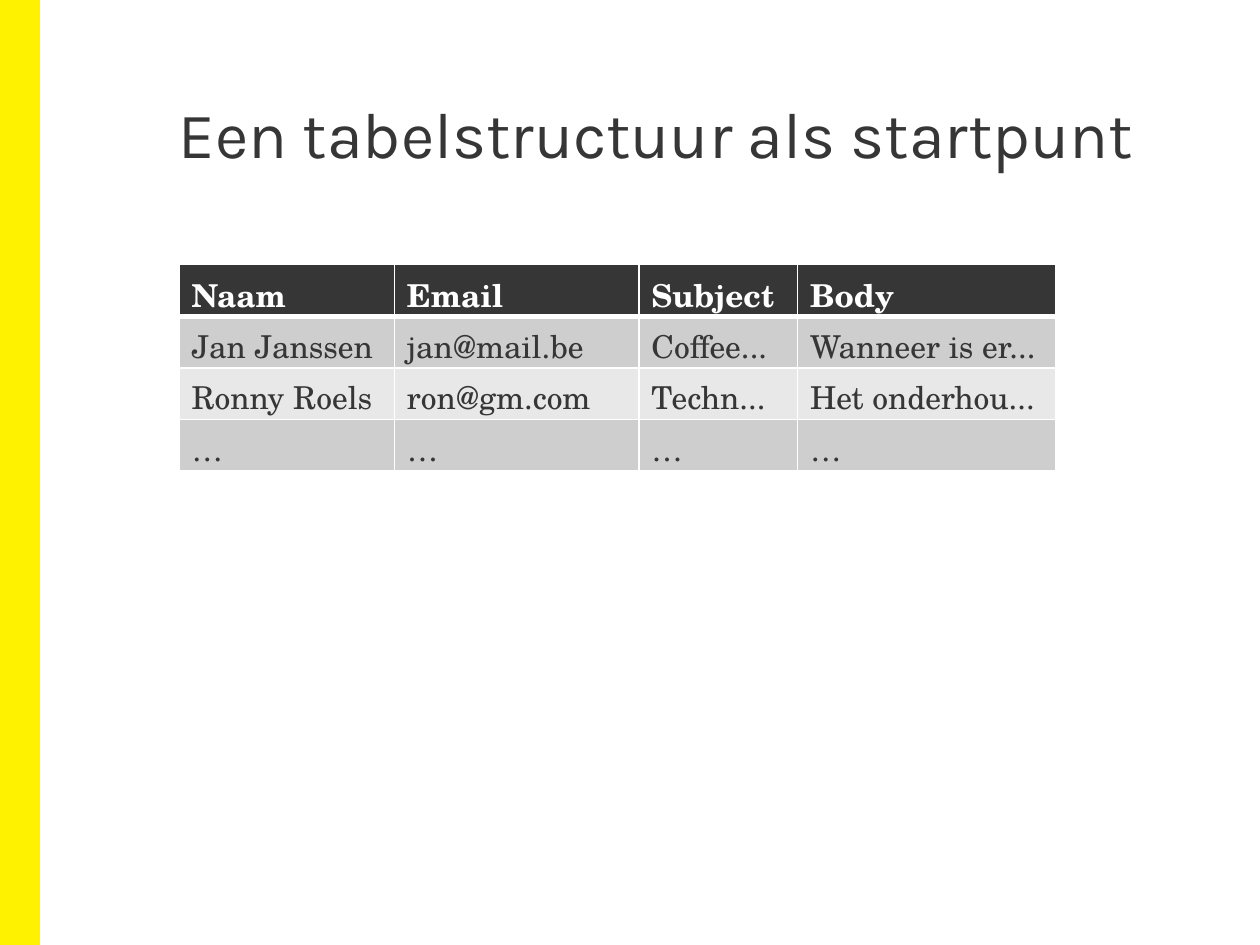
from dataclasses import dataclass

from lxml.etree import SubElement
from pptx import Presentation
from pptx.dml.color import RGBColor
from pptx.enum.shapes import MSO_SHAPE
from pptx.oxml.ns import qn
from pptx.util import Inches, Pt


@dataclass(frozen=True)
class Theme:
    accent: str = "FFF200"
    dark: str = "373636"
    light: str = "FFFFFF"
    bands: tuple = ("CECECE", "E8E8E8")
    title_font: str = "Karla"
    table_font: str = "TeX Gyre Schola"
    title_size: int = 37
    title_leading: int = 38
    table_size: int = 18
    thin: int = 1
    thick: int = 3


class SlideBuilder:
    def __init__(self, page, theme):
        self.page = page
        self.theme = theme

    def set_font(self, para, name, size, color, bold=False):
        para.font.name = name
        para.font.size = Pt(size)
        para.font.bold = bold
        para.font.color.rgb = RGBColor.from_string(color)

    def side_bar(self, width, height):
        bar = self.page.shapes.add_shape(
            MSO_SHAPE.RECTANGLE, 0, 0, Inches(width), Inches(height)
        )
        bar.shadow.inherit = False
        color = RGBColor.from_string(self.theme.accent)
        bar.fill.solid()
        bar.fill.fore_color.rgb = color
        bar.line.color.rgb = color
        bar.line.width = Pt(self.theme.thin)

    def title(self, text, left, top, width, height):
        box = self.page.shapes.add_textbox(
            Inches(left), Inches(top), Inches(width), Inches(height)
        )
        frame = box.text_frame
        frame.word_wrap = True
        frame.margin_left = frame.margin_right = 0
        frame.margin_top = frame.margin_bottom = 0
        para = frame.paragraphs[0]
        para.text = text
        para.line_spacing = Pt(self.theme.title_leading)
        self.set_font(
            para, self.theme.title_font, self.theme.title_size, self.theme.dark
        )

    def cell_borders(self, cell, top, bottom):
        properties = cell._tc.get_or_add_tcPr()
        thin = self.theme.thin
        for side, width in (("L", thin), ("R", thin), ("T", top), ("B", bottom)):
            line = SubElement(properties, qn(f"a:ln{side}"), w=str(Pt(width)))
            fill = SubElement(line, qn("a:solidFill"))
            SubElement(fill, qn("a:srgbClr"), val=self.theme.light)

    def table(self, rows, left, top, column_widths, row_height):
        theme = self.theme
        table = self.page.shapes.add_table(
            len(rows),
            len(column_widths),
            Inches(left),
            Inches(top),
            Inches(sum(column_widths)),
            Inches(row_height * len(rows)),
        ).table
        for column, width in zip(table.columns, column_widths):
            column.width = Inches(width)
        for index, texts in enumerate(rows):
            table.rows[index].height = Inches(row_height)
            header = index == 0
            band = theme.dark if header else theme.bands[(index - 1) % 2]
            color = theme.light if header else theme.dark
            above = theme.thick if index == 1 else theme.thin
            below = theme.thick if header else theme.thin
            for cell, text in zip(table.rows[index].cells, texts):
                self.cell_borders(cell, above, below)
                cell.fill.solid()
                cell.fill.fore_color.rgb = RGBColor.from_string(band)
                cell.text = text
                para = cell.text_frame.paragraphs[0]
                self.set_font(para, theme.table_font, theme.table_size, color, header)


def main():
    deck = Presentation()
    deck.slide_width = Inches(10)
    deck.slide_height = Inches(7.5)
    page = deck.slides.add_slide(deck.slide_layouts[6])
    builder = SlideBuilder(page, Theme())
    margin = 1.42
    builder.side_bar(0.31, 7.5)
    builder.title("Een tabelstructuur als startpunt", margin, 0.83, 8.11, 1.22)
    rows = [
        ("Naam", "Email", "Subject", "Body"),
        ("Jan Janssen", "jan@mail.be", "Coffee...", "Wanneer is er..."),
        ("Ronny Roels", "ron@gm.com", "Techn...", "Het onderhou..."),
        ("…",) * 4,
    ]
    builder.table(rows, margin, 2.1, (1.71, 1.94, 1.26, 2.05), 0.41)
    deck.save("out.pptx")


if __name__ == "__main__":
    main()
